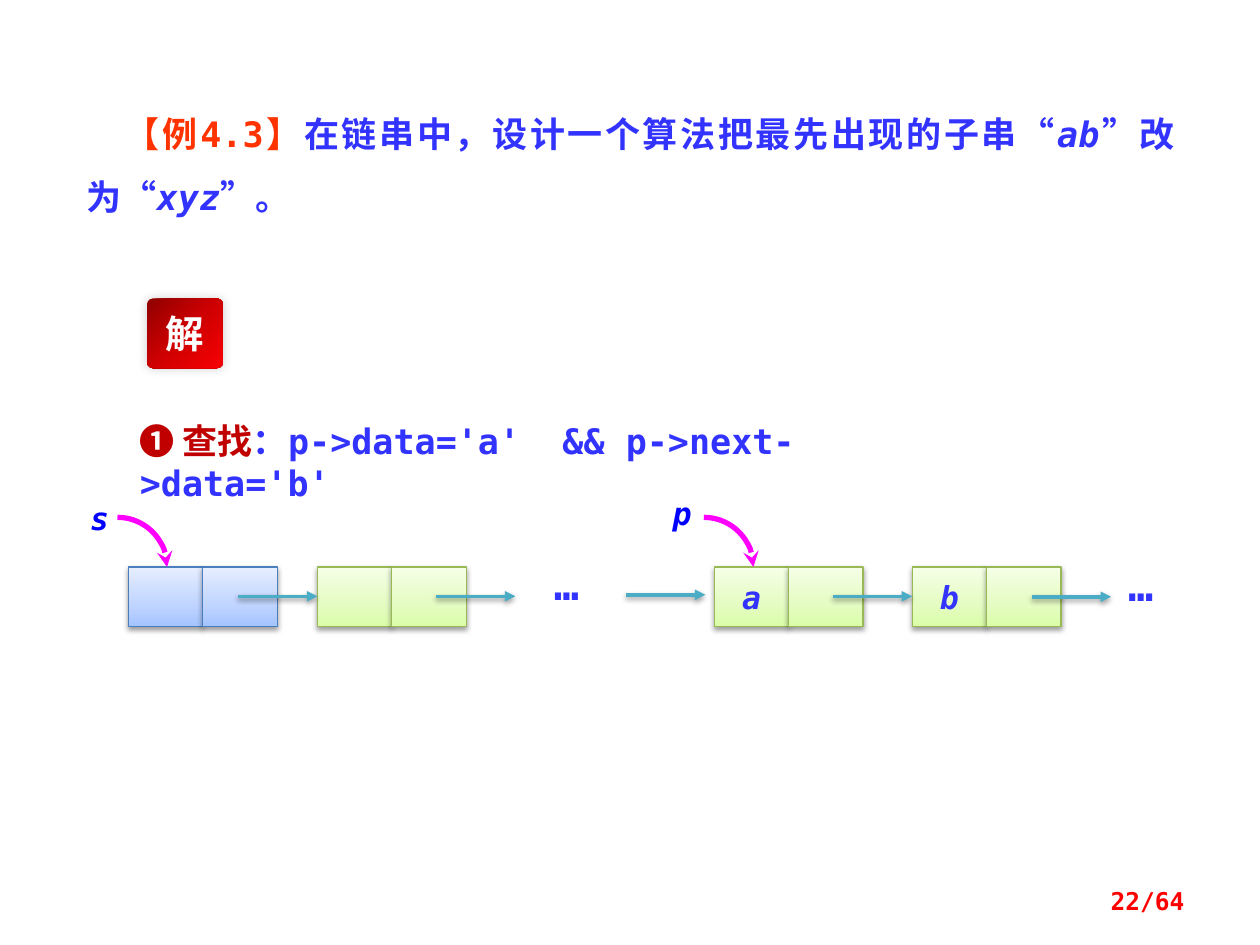
import pptx
import pptx.util
import pptx.dml.color
import pptx.enum.shapes
import pptx.enum.text
import pptx.oxml
import lxml.etree
from pptx.util import Cm

MONO, CJK = "DejaVu Sans Mono", "Noto Sans CJK SC"
BLUE, LABEL, RED, ORANGE = "3333FF", "0000FF", "C00000", "FF3300"
NS = 'xmlns:a="http://schemas.openxmlformats.org/drawingml/2006/main"'
ALIGN = pptx.enum.text.PP_ALIGN
SHAPE = pptx.enum.shapes.MSO_SHAPE

QUESTION = [("【例4.3】", ORANGE, False), ("在链串中，设计一个算法把最先出现的子串“", BLUE, False),
            ("ab", BLUE, True), ("”改为“", BLUE, False), ("xyz", BLUE, True), ("”。", BLUE, False)]
STEP = [("❶ 查找", RED, False), ("：p->data='a'  && p->next->data='b'", BLUE, False)]

HEAD = ([(0, "A4C4FF"), (35, "BFD4FF"), (100, "E6EEFF")], "4B7EBC")
NODE = ([(0, "DAFDA7"), (35, "E4FCC2"), (100, "F5FFE7")], "98B955")
BADGE = [(0, "8F0000"), (50, "CF0001"), (100, "F60004")]
NODES = [(2.59, HEAD, ""), (6.4, NODE, ""), (14.4, NODE, "a"), (18.39, NODE, "b")]
CELL_W, CELL_H, CELL_Y = 1.5, 1.2, 11.43
LINKS = [(4.8, 12.02), (8.79, 12.02), (12.62, 11.99), (16.79, 12.02), (20.8, 12.03)]
LINK_W = 1.6
DOTS = [(10.62, 11.13), (22.2, 11.15)]
POINTERS = [("s", 1.57, 9.93, 2.37), ("p", 13.31, 9.83, 14.19)]
ARC_R = 1.0


def rgb(value):
    return pptx.dml.color.RGBColor.from_string(value)


def xml(text):
    return pptx.oxml.parse_xml(text.replace(">", f" {NS}>", 1) if "/>" not in text.split(">")[0] + ">"
                               else text.replace("/>", f" {NS}/>", 1))


def style(p, size, color=None, font=MONO, bold=True, italic=False):
    p.font.size, p.font.name = pptx.util.Pt(size), font
    p.font.bold = bold
    if italic:
        p.font.italic = True
    if color:
        p.font.color.rgb = rgb(color)
    p.font._element.append(xml(f'<a:ea typeface="{CJK}"/>'))


def add_text(s, box, text, size, color=None, align=ALIGN.LEFT, italic=False):
    tf = s.shapes.add_textbox(*map(Cm, box)).text_frame
    tf.word_wrap = True
    p = tf.paragraphs[0]
    p.alignment = align
    style(p, size, color, italic=italic)
    if isinstance(text, str):
        p.add_run().text = text
    else:
        for part, part_color, part_italic in text:
            r = p.add_run()
            r.text = part
            r.font.color.rgb = rgb(part_color)
            if part_italic:
                r.font.italic = True
    return tf


def add_shadow(sp, alpha=38, blur=3.1, dist=1.6, angle=90):
    effects = sp._element.spPr.find(pptx.oxml.ns.qn("a:effectLst"))
    effects.append(xml(
        f'<a:outerShdw blurRad="{int(blur * 12700)}" dist="{int(dist * 12700)}" '
        f'dir="{angle * 60000}" rotWithShape="0"><a:srgbClr val="000000">'
        f'<a:alpha val="{alpha * 1000}"/></a:srgbClr></a:outerShdw>'))


def add_box(s, kind, box, stops, angle, line=None):
    sp = s.shapes.add_shape(kind, *map(Cm, box))
    sp.shadow.inherit = False
    gs = "".join(f'<a:gs pos="{pos * 1000}"><a:srgbClr val="{c}"/></a:gs>' for pos, c in stops)
    sp._element.spPr.find(pptx.oxml.ns.qn("a:prstGeom")).addnext(xml(
        f'<a:gradFill rotWithShape="1"><a:gsLst>{gs}</a:gsLst>'
        f'<a:lin ang="{angle * 60000}" scaled="0"/></a:gradFill>'))
    if line:
        sp.line.color.rgb = rgb(line)
        sp.line.width = pptx.util.Pt(0.75)
    else:
        sp.line.fill.background()
    return sp


def set_box_text(sp, text, size, color, font, italic):
    tf = sp.text_frame
    tf.word_wrap = False
    tf.vertical_anchor = pptx.enum.text.MSO_ANCHOR.MIDDLE
    p = tf.paragraphs[0]
    p.alignment = ALIGN.CENTER
    style(p, size, color, font, italic=italic)
    p.add_run().text = text


def set_arrow(sp, color, width, head):
    sp.line.color.rgb = rgb(color)
    sp.line.width = pptx.util.Pt(width)
    sp.line._get_or_add_ln().append(xml(f'<a:tailEnd type="{head}"/>'))


def main():
    prs = pptx.Presentation()
    prs.slide_width, prs.slide_height = Cm(25.4), Cm(19.05)
    s = prs.slides.add_slide(prs.slide_layouts[6])

    p = add_text(s, (1.5, 1.73, 22.43, 2.67), QUESTION, 20, align=ALIGN.JUSTIFY).paragraphs[0]
    p.line_spacing = 1.5
    p._p.get_or_add_pPr().set("indent", str(Cm(0.77)))

    badge = add_box(s, SHAPE.ROUNDED_RECTANGLE, (2.97, 6.02, 1.52, 1.4), BADGE, 45)
    badge.adjustments[0] = 0.08
    add_shadow(badge, 20, 6, 0, 225)
    set_box_text(badge, "解", 22, "FFFFFF", CJK, False)

    for x, (stops, line), letter in NODES:
        for i, text in enumerate((letter, "")):
            cell = add_box(s, SHAPE.RECTANGLE, (x + i * CELL_W, CELL_Y, CELL_W, CELL_H), stops, 270, line)
            add_shadow(cell)
            if text:
                set_box_text(cell, text, 18, BLUE, MONO, True)

    for x, y in LINKS:
        link = s.shapes.add_connector(pptx.enum.shapes.MSO_CONNECTOR.STRAIGHT,
                                      Cm(x), Cm(y), Cm(x + LINK_W), Cm(y))
        set_arrow(link, "4BACC6", 2, "triangle")
        link._element.spPr.append(xml("<a:effectLst/>"))
        add_shadow(link)

    for x, y in DOTS:
        add_text(s, (x, y, 1.6, 1.27), "…", 24, BLUE, ALIGN.CENTER)

    for name, x, y, arc_x in POINTERS:
        arc = s.shapes.add_shape(SHAPE.ARC, Cm(arc_x - ARC_R), Cm(CELL_Y - ARC_R),
                                 Cm(2 * ARC_R), Cm(2 * ARC_R))
        arc.shadow.inherit = False
        arc.fill.background()
        set_arrow(arc, "FF00FF", 3, "stealth")
        add_text(s, (x, y, 1.2, 1.02), name, 18, LABEL, italic=True)

    add_text(s, (2.57, 8.33, 17.48, 1.12), STEP, 20)
    number = add_text(s, (18.21, 17.65, 5.92, 1.02), "22/64", 14, "FF0000", ALIGN.RIGHT)
    number.vertical_anchor = pptx.enum.text.MSO_ANCHOR.MIDDLE

    prs.save("out.pptx")


if __name__ == "__main__":
    main()
